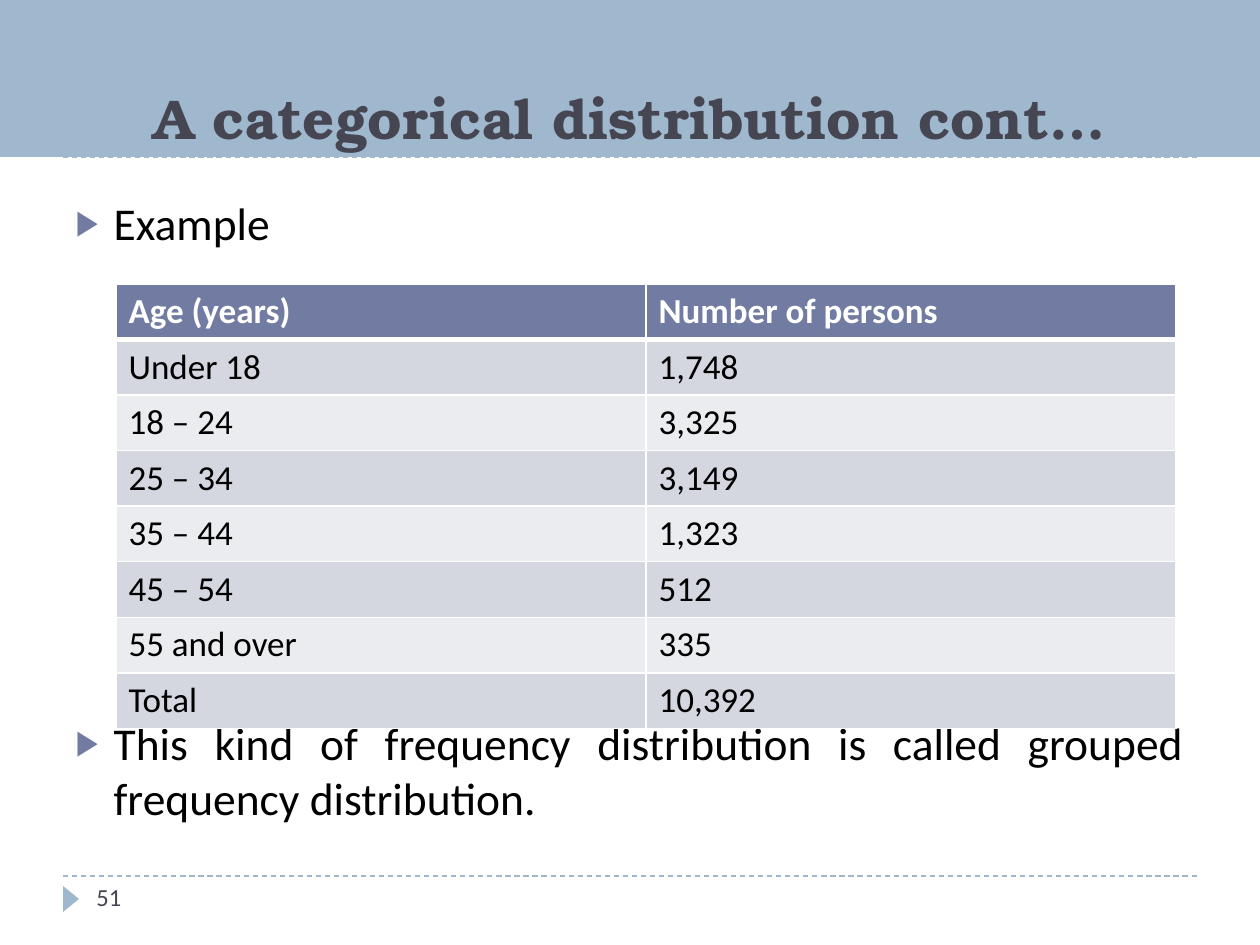
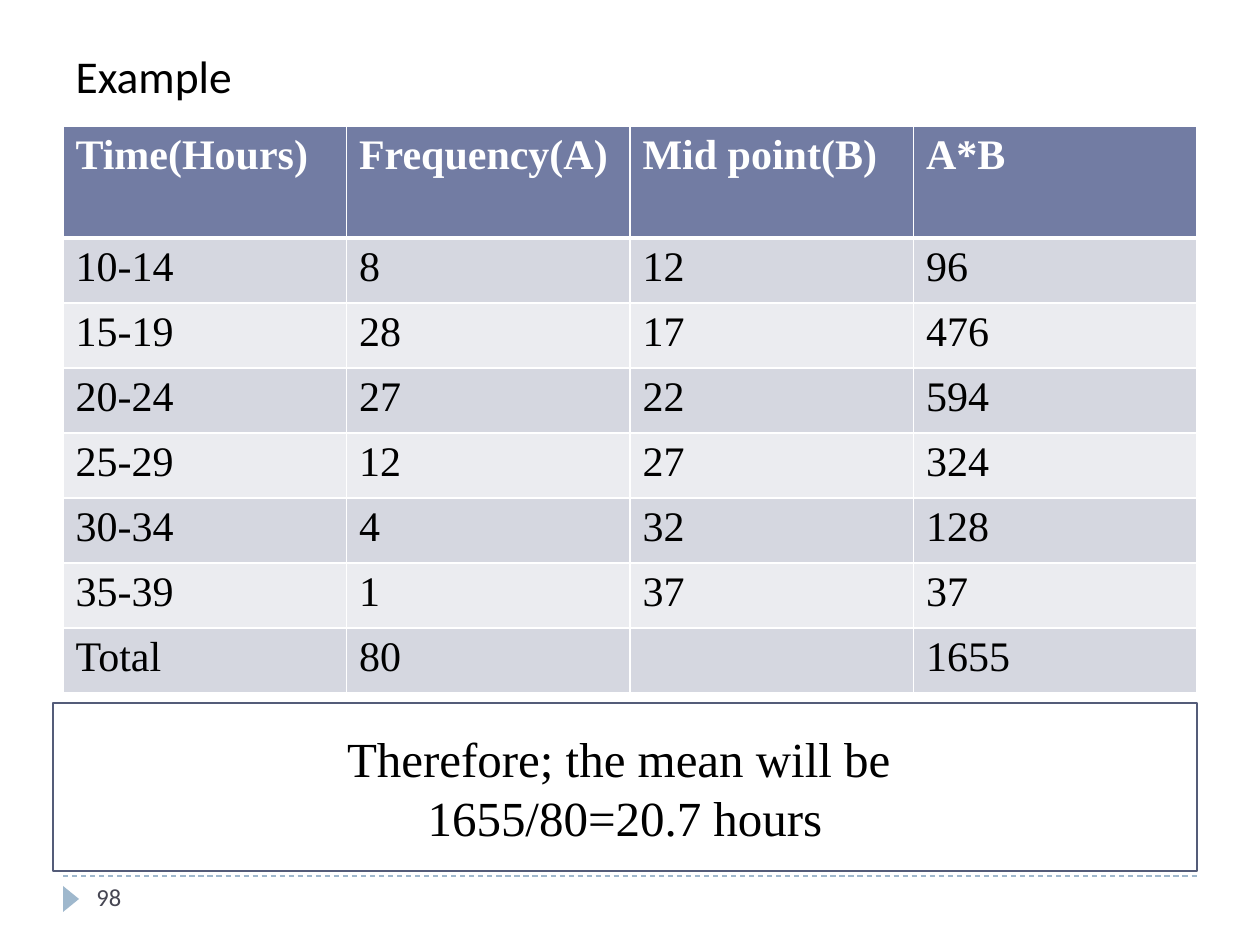
from lxml.etree import SubElement
from pptx import Presentation
from pptx.dml.color import RGBColor
from pptx.enum.dml import MSO_LINE
from pptx.enum.shapes import MSO_CONNECTOR, MSO_SHAPE
from pptx.enum.text import MSO_ANCHOR, MSO_AUTO_SIZE, PP_ALIGN
from pptx.oxml.ns import qn
from pptx.util import Emu, Pt

COLORS = {
    "band": "9FB8CD", "accent": "727CA3", "heading": "464653",
    "text": "000000", "white": "FFFFFF", "outline": "545C79",
    "odd_row": "D5D7E0", "even_row": "EBECF0",
}
TITLE_STYLE = {"size": Pt(32), "name": "TeX Gyre Bonum", "bold": True, "color": "heading"}
BODY_STYLE = {"size": Pt(26), "name": "Calibri", "bold": False, "color": "text"}
NUMBER_STYLE = {"size": Pt(14), "name": "Calibri", "bold": False, "color": "heading"}
MEAN_STYLE = {"size": Pt(28), "name": "Times New Roman", "bold": False, "color": "text"}

AGE_ROWS = [
    ("Age (years)", "Number of persons"),
    ("Under 18", "1,748"),
    ("18 – 24", "3,325"),
    ("25 – 34", "3,149"),
    ("35 – 44", "1,323"),
    ("45 – 54", "512"),
    ("55 and over", "335"),
    ("Total", "10,392"),
]
TIME_ROWS = [
    ("Time(Hours)", "Frequency(A)", "Mid point(B)", "A*B"),
    ("10-14", "8", "12", "96"),
    ("15-19", "28", "17", "476"),
    ("20-24", "27", "22", "594"),
    ("25-29", "12", "27", "324"),
    ("30-34", "4", "32", "128"),
    ("35-39", "1", "37", "37"),
    ("Total", "80", "", "1655"),
]


def px(length):
    """Turn a length in px, 126 to the inch, into EMU."""
    return Emu(round(length * 914400 / 126))


def rgb(name):
    """Look up a named colour."""
    return RGBColor.from_string(COLORS[name])


def apply_font(font, style):
    """Set the font attributes that a style lists."""
    for attribute, value in style.items():
        if attribute == "color":
            font.color.rgb = rgb(value)
        else:
            setattr(font, attribute, value)


def write_lines(frame, lines, style, align=PP_ALIGN.LEFT):
    """Fill a text frame with one paragraph for each line."""
    frame.word_wrap = True
    frame.auto_size = MSO_AUTO_SIZE.NONE
    for index, line in enumerate(lines):
        paragraph = frame.add_paragraph() if index else frame.paragraphs[0]
        paragraph.alignment = align
        run = paragraph.add_run()
        run.text = line
        apply_font(run.font, style)


def place(part, box):
    """Move a part into a px box."""
    part.left, part.top, part.width, part.height = map(px, box)


def add_rule(slide, left, top, width):
    """Draw a dashed horizontal rule."""
    rule = slide.shapes.add_connector(
        MSO_CONNECTOR.STRAIGHT, px(left), px(top), px(left + width), px(top))
    rule.line.color.rgb = rgb("band")
    rule.line.width = Pt(0.75)
    rule.line.dash_style = MSO_LINE.DASH
    SubElement(rule._element.spPr, qn("a:effectLst"))


def add_frame(slide, page_number):
    """Add the rules, the page marker and the page number all slides share."""
    for top in (876, 157):
        add_rule(slide, 63, top, 1134)
    marker = slide.shapes.add_shape(
        MSO_SHAPE.ISOSCELES_TRIANGLE, *map(px, (58, 891, 26, 16)))
    marker.rotation = 90
    marker.shadow.inherit = False
    marker.fill.solid()
    marker.fill.fore_color.rgb = rgb("band")
    marker.line.fill.background()
    number = slide.shapes.add_textbox(*map(px, (84, 876, 273, 50)))
    write_lines(number.text_frame, [page_number], NUMBER_STYLE)


def fill_title(slide, box, heading):
    """Turn the title placeholder into a coloured band."""
    title = slide.shapes.title
    place(title, box)
    title.fill.solid()
    title.fill.fore_color.rgb = rgb("band")
    title.text_frame.vertical_anchor = MSO_ANCHOR.BOTTOM
    write_lines(title.text_frame, [heading], TITLE_STYLE, PP_ALIGN.CENTER)


def fill_body(slide, box, lines, bulleted):
    """Write the body list with hanging indents and optional arrow bullets."""
    body = slide.placeholders[1]
    place(body, box)
    write_lines(body.text_frame, lines, BODY_STYLE)
    for paragraph in body.text_frame.paragraphs:
        paragraph.space_before = Pt(6)
        properties = paragraph._p.get_or_add_pPr()
        properties.set("marL", str(px(38)))
        properties.set("indent", str(-px(38)))
        if bulleted:
            color = SubElement(properties, qn("a:buClr"))
            SubElement(color, qn("a:srgbClr"), val=COLORS["accent"])
            SubElement(properties, qn("a:buSzPct"), val="76000")
            SubElement(properties, qn("a:buFont"), typeface="Arial")
            SubElement(properties, qn("a:buChar"), char="▶")
        else:
            SubElement(properties, qn("a:buNone"))
    return body.text_frame.paragraphs


def add_borders(cell, row):
    """Draw white cell borders, thicker below the header row."""
    widths = {"L": 1, "R": 1, "T": 3 if row == 1 else 1, "B": 3 if row == 0 else 1}
    properties = cell._tc.get_or_add_tcPr()
    for side, width in widths.items():
        border = SubElement(properties, qn(f"a:ln{side}"), w=str(Pt(width)))
        fill = SubElement(border, qn("a:solidFill"))
        SubElement(fill, qn("a:srgbClr"), val=COLORS["white"])


def add_data_table(slide, box, rows, header_height, font_name, size):
    """Add a banded table with equal columns and equal rows below the header."""
    left, top, width, height = box
    table = slide.shapes.add_table(len(rows), len(rows[0]), *map(px, box)).table
    for column in table.columns:
        column.width = px(width / len(rows[0]))
    row_height = (height - header_height) / (len(rows) - 1)
    for r, values in enumerate(rows):
        table.rows[r].height = px(row_height if r else header_height)
        row_color = ("odd_row" if r % 2 else "even_row") if r else "accent"
        style = {"size": Pt(size), "name": font_name, "bold": r == 0,
                 "color": "text" if r else "white"}
        for c, value in enumerate(values):
            cell = table.cell(r, c)
            add_borders(cell, r)
            cell.fill.solid()
            cell.fill.fore_color.rgb = rgb(row_color)
            cell.text = value
            apply_font(cell.text_frame.paragraphs[0].font, style)


def add_conclusion(slide, box, lines):
    """Add the outlined box that states the mean."""
    conclusion = slide.shapes.add_shape(MSO_SHAPE.RECTANGLE, *map(px, box))
    conclusion.shadow.inherit = False
    conclusion.fill.solid()
    conclusion.fill.fore_color.rgb = rgb("white")
    conclusion.line.color.rgb = rgb("outline")
    conclusion.line.width = Pt(1.5)
    conclusion.text_frame.vertical_anchor = MSO_ANCHOR.MIDDLE
    write_lines(conclusion.text_frame, lines, MEAN_STYLE, PP_ALIGN.CENTER)


def build_age_slide(slide):
    """Build the slide with the grouped age distribution."""
    fill_title(slide, (0, 0, 1260, 157), "A categorical distribution cont…")
    add_frame(slide, "51")
    example, remark = fill_body(slide, (63, 189, 1134, 683), [
        "Example",
        "This kind of frequency distribution is called grouped frequency distribution.",
    ], bulleted=True)
    remark.alignment = PP_ALIGN.JUSTIFY
    remark.space_before = Pt(266)
    add_data_table(slide, (116, 284, 1060, 444), AGE_ROWS, 55, "Calibri", 20)


def build_mean_slide(slide):
    """Build the slide that works out the mean time."""
    title = slide.shapes.title._element
    title.getparent().remove(title)
    add_frame(slide, "98")
    fill_body(slide, (63, 42, 1134, 806), ["Example"], bulleted=False)
    add_data_table(slide, (63, 126, 1134, 567), TIME_ROWS, 112, "Times New Roman", 24)
    add_conclusion(slide, (53, 703, 1144, 168),
                   ["Therefore; the mean will be ", "1655/80=20.7 hours"])


def main():
    """Build and save the presentation."""
    presentation = Presentation()
    presentation.slide_width, presentation.slide_height = px(1260), px(945)
    for build in (build_age_slide, build_mean_slide):
        build(presentation.slides.add_slide(presentation.slide_layouts[1]))
    presentation.save("out.pptx")


if __name__ == "__main__":
    main()
